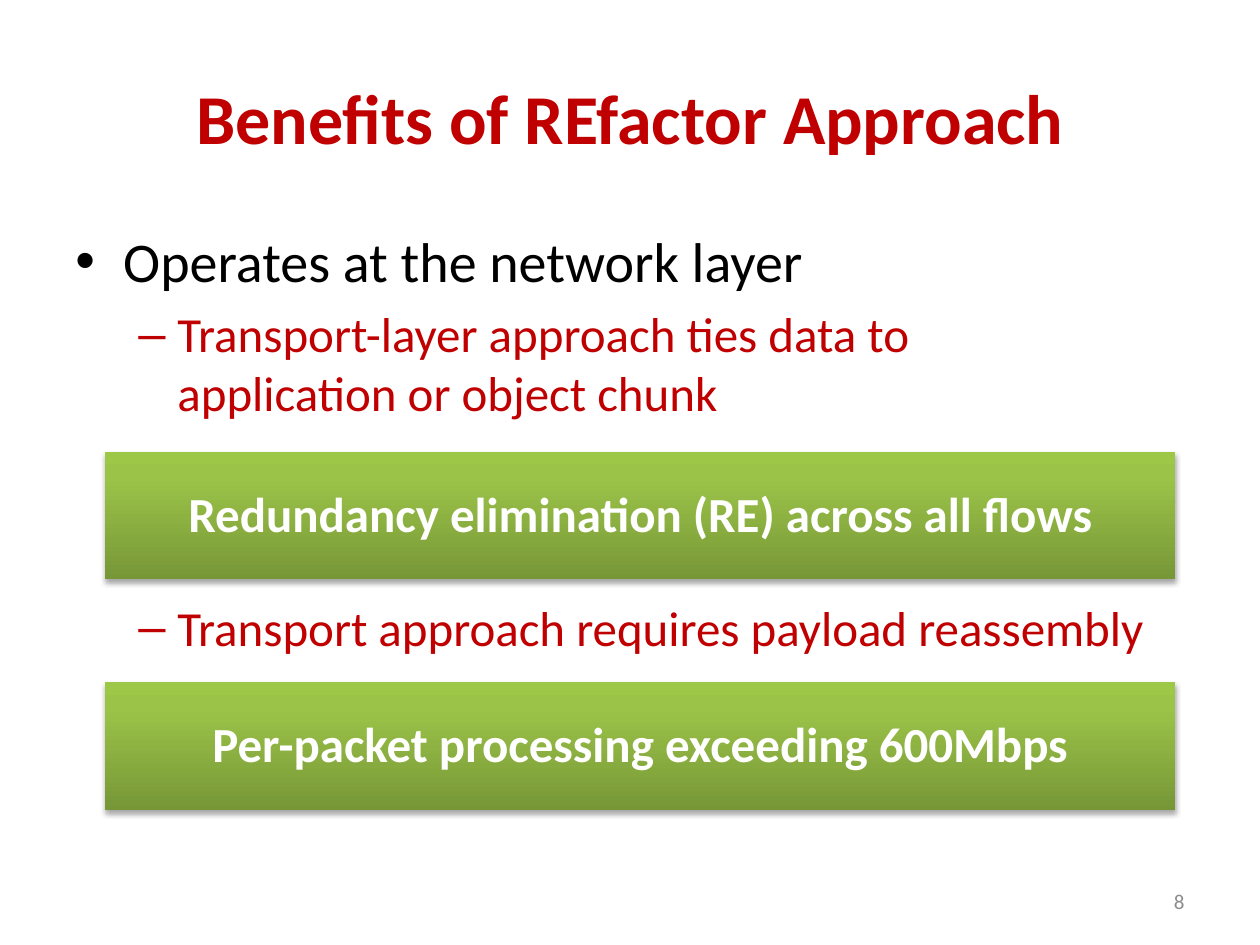
from dataclasses import dataclass

from lxml.etree import SubElement
from pptx import Presentation
from pptx.dml.color import RGBColor
from pptx.enum.shapes import MSO_SHAPE
from pptx.enum.text import MSO_ANCHOR, PP_ALIGN
from pptx.oxml import parse_xml
from pptx.oxml.ns import nsdecls, qn
from pptx.util import Emu, Inches, Pt

FONT = "Calibri"
COLORS = {"red": "C00000", "black": "000000", "gray": "8C8C8C", "white": "FFFFFF"}
GREEN_STOPS = {0: "779737", 80: "9BC348", 100: "9DC746"}
SLIDE_W, SLIDE_H = Inches(10), Inches(7.5)
MARGIN = 0.05
BANNER_LEFT, BANNER_W, BANNER_H = 0.083, 0.85, 0.135


@dataclass
class Bullet:
    text: str
    char: str
    size: float
    color: str
    indent: float
    hanging: float
    level: int = 0
    before: float = 0


@dataclass
class Banner:
    text: str
    top: float


BULLETS = [
    Bullet("Operates at the network layer", "•", 32, "black", 0.38, 0.38),
    Bullet("Transport-layer approach ties data to\napplication or object chunk",
           "–", 28, "red", 0.81, 0.31, 1, 5.6),
    # The wide gap leaves room for the first banner
    Bullet("Transport approach requires payload reassembly",
           "–", 28, "red", 0.81, 0.31, 1, 100.4),
]
BANNERS = [
    Banner("Redundancy elimination (RE) across all flows", 0.478),
    Banner("Per-packet processing exceeding 600Mbps", 0.722),
]


def box(left: float, top: float, width: float, height: float) -> tuple:
    """Turn shares of the slide's size into lengths."""
    return (Emu(round(left * SLIDE_W)), Emu(round(top * SLIDE_H)),
            Emu(round(width * SLIDE_W)), Emu(round(height * SLIDE_H)))


def format_runs(p, size: float, color: str, bold: bool = False) -> None:
    for r in p.runs:
        r.font.name, r.font.size, r.font.bold = FONT, Pt(size), bold
        r.font.color.rgb = RGBColor.from_string(COLORS[color])


def add_title(s, text: str) -> None:
    sp = s.shapes.title
    sp.left, sp.top, sp.width, sp.height = box(MARGIN, 0.04, 0.9, 1 / 6)
    tf = sp.text_frame
    tf.text = text
    tf.vertical_anchor = MSO_ANCHOR.MIDDLE
    tf.paragraphs[0].alignment = PP_ALIGN.CENTER
    format_runs(tf.paragraphs[0], 40, "red", True)


def add_bullets(s, bullets: list[Bullet]) -> None:
    tf = s.shapes.add_textbox(*box(MARGIN, 7 / 30, 0.9, 0.66)).text_frame
    tf.word_wrap = True
    for i, b in enumerate(bullets):
        p = tf.add_paragraph() if i else tf.paragraphs[0]
        p.text, p.level = b.text, b.level
        p.space_before = Pt(b.before)
        pPr = p._p.get_or_add_pPr()
        pPr.set("marL", str(Inches(b.indent)))
        pPr.set("indent", str(-Inches(b.hanging)))
        SubElement(pPr, qn("a:buFont")).set("typeface", "Arial")
        SubElement(pPr, qn("a:buChar")).set("char", b.char)
        format_runs(p, b.size, b.color)


def add_banner(s, banner: Banner) -> None:
    """Draw a green gradient bar with a soft shadow."""
    sp = s.shapes.add_shape(
        MSO_SHAPE.RECTANGLE, *box(BANNER_LEFT, banner.top, BANNER_W, BANNER_H))
    sp.line.fill.background()
    stops = "".join(f'<a:gs pos="{pos * 1000}"><a:srgbClr val="{color}"/></a:gs>'
                    for pos, color in GREEN_STOPS.items())
    spPr = sp._element.spPr
    spPr.find(qn("a:prstGeom")).addnext(parse_xml(
        f'<a:gradFill {nsdecls("a")} rotWithShape="1"><a:gsLst>{stops}</a:gsLst>'
        '<a:lin ang="16200000" scaled="0"/></a:gradFill>'))
    spPr.append(parse_xml(
        f'<a:effectLst {nsdecls("a")}><a:outerShdw blurRad="{Pt(3.1)}" '
        f'dist="{Pt(1.8)}" dir="5400000" rotWithShape="0"><a:srgbClr val="000000">'
        '<a:alpha val="35000"/></a:srgbClr></a:outerShdw></a:effectLst>'))
    tf = sp.text_frame
    tf.word_wrap = True
    tf.vertical_anchor = MSO_ANCHOR.TOP
    tf.margin_left = tf.margin_right = tf.margin_top = tf.margin_bottom = Inches(0.25)
    tf.text = banner.text
    tf.paragraphs[0].alignment = PP_ALIGN.CENTER
    format_runs(tf.paragraphs[0], 28, "white", True)


def add_page_number(s, number: int) -> None:
    tf = s.shapes.add_textbox(*box(0.717, 0.927, 0.233, 0.053)).text_frame
    tf.word_wrap = True
    tf.vertical_anchor = MSO_ANCHOR.MIDDLE
    tf.text = str(number)
    tf.paragraphs[0].alignment = PP_ALIGN.RIGHT
    format_runs(tf.paragraphs[0], 12, "gray")


def main() -> None:
    prs = Presentation()
    prs.slide_width, prs.slide_height = SLIDE_W, SLIDE_H
    s = prs.slides.add_slide(prs.slide_layouts.get_by_name("Title Only"))
    add_title(s, "Benefits of REfactor Approach")
    add_bullets(s, BULLETS)
    add_page_number(s, 8)
    for banner in BANNERS:
        add_banner(s, banner)
    prs.save("out.pptx")


if __name__ == "__main__":
    main()
